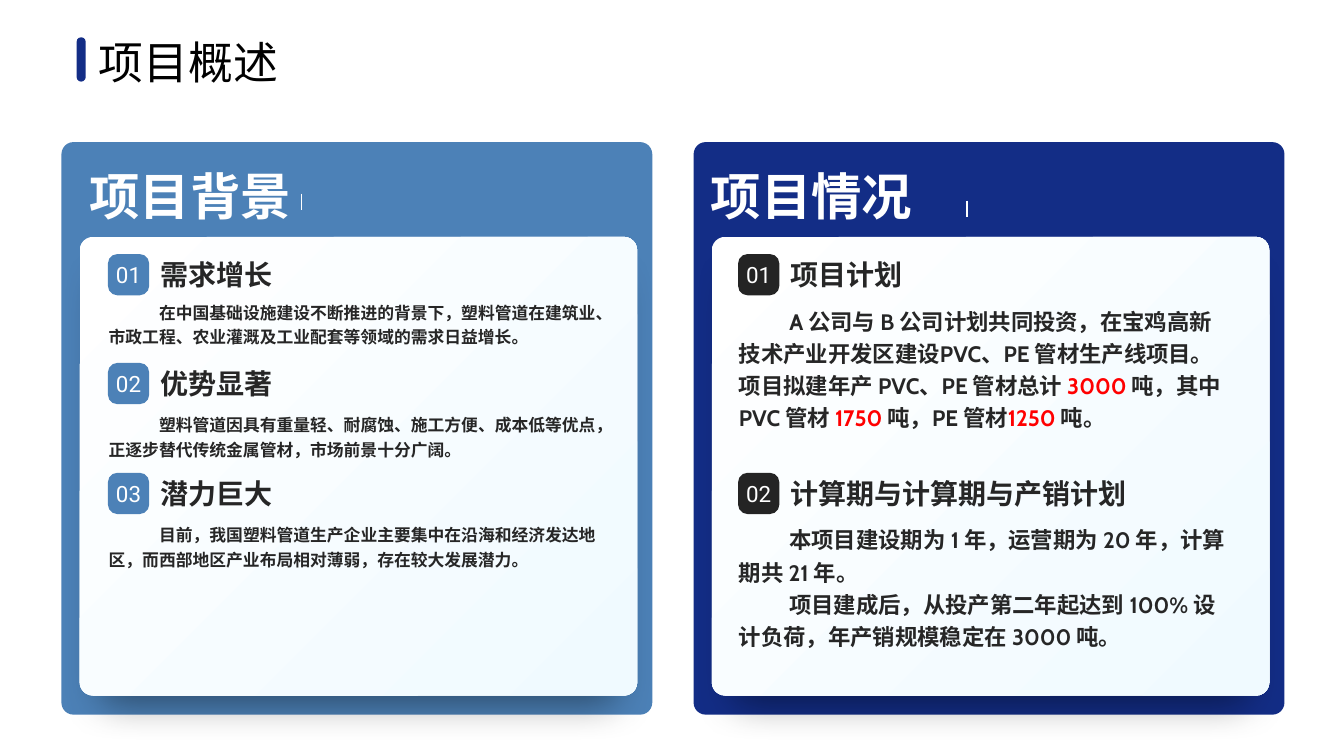
from dataclasses import dataclass

from lxml.etree import SubElement
from pptx import Presentation
from pptx.dml.color import RGBColor
from pptx.enum.shapes import MSO_CONNECTOR as CONN, MSO_SHAPE as SHAPE
from pptx.enum.text import MSO_ANCHOR as ANCHOR, MSO_AUTO_SIZE as AUTO, PP_ALIGN as ALIGN
from pptx.oxml import parse_xml
from pptx.oxml.ns import nsdecls, qn
from pptx.util import Pt

PX = 9144  # 100 px to the inch
COLORS = {
    "navy": "132D86", "blue": "4C81B7", "dark": "242424", "text": "262626",
    "red": "FF0000", "white": "FFFFFF", "ice": "F0FAFF", "black": "000000",
}
PANEL_TOP, PANEL_W, PANEL_H = 141, 586, 568
CARD_TOP, CARD_W, CARD_H = 235, 553, 455
BADGE, FIRST_ROW, ROW_STEP = 41, 252, 108.5
SHADOW = (
    f'<a:effectLst {nsdecls("a")}><a:outerShdw blurRad="355600" dist="406400" dir="5400000" '
    'sx="92000" sy="92000" algn="t" rotWithShape="0"><a:srgbClr val="000000">'
    '<a:alpha val="41000"/></a:srgbClr></a:outerShdw></a:effectLst>'
)


@dataclass
class Item:
    row: int
    heading: str
    body: list[list[str]]  # paragraphs of runs; runs of digits are red
    body_dy: int = 43
    body_h: int = 58


@dataclass
class Panel:
    x: int
    color: str
    badge_color: str
    heading: str
    heading_x: int
    tick: tuple[int, int]
    content_x: int
    body_size: int
    items: list[Item]


PANELS = [
    Panel(61, "blue", "blue", "项目背景", 79, (299, 192), 107, 12, [
        Item(0, "需求增长", [["在中国基础设施建设不断推进的背景下，塑料管道在建筑业、市政工程、"
                          "农业灌溉及工业配套等领域的需求日益增长。"]], 39, 43),
        Item(1, "优势显著", [["塑料管道因具有重量轻、耐腐蚀、施工方便、成本低等优点，"
                          "正逐步替代传统金属管材，市场前景十分广阔。"]]),
        Item(2, "潜力巨大", [["目前，我国塑料管道生产企业主要集中在沿海和经济发达地区，"
                          "而西部地区产业布局相对薄弱，存在较大发展潜力。"]]),
    ]),
    Panel(688, "navy", "dark", "项目情况", 695, (959, 199), 732, 16, [
        Item(0, "项目计划", [["A 公司与 B 公司计划共同投资，在宝鸡高新技术产业开发区建设PVC、PE 管材"
                          "生产线项目。项目拟建年产 PVC、PE 管材总计 ", "3000", " 吨，其中 PVC 管材 ",
                          "1750", " 吨，PE 管材", "1250", " 吨。"]], body_h=171),
        Item(2, "计算期与计算期与产销计划", [
            ["本项目建设期为 1 年，运营期为 20 年，计算期共 21 年。"],
            ["项目建成后，从投产第二年起达到 100% 设计负荷，年产销规模稳定在 3000 吨。"],
        ], body_h=139),
    ]),
]


def rgb(name: str) -> RGBColor:
    return RGBColor.from_string(COLORS[name])


def set_font(p, size: int, name: str, color: str, bold: bool = False) -> None:
    p.font.size, p.font.name, p.font.bold = Pt(size), name, bold
    p.font.color.rgb = rgb(color)


def add_round(s, x: int, y: int, w: int, h: int, adj: float, color: str):
    sp = s.shapes.add_shape(SHAPE.ROUNDED_RECTANGLE, x * PX, y * PX, w * PX, h * PX)
    sp.adjustments[0] = adj
    sp.shadow.inherit = False
    sp.fill.solid()
    sp.fill.fore_color.rgb = rgb(color)
    sp.line.fill.background()
    return sp


def add_text(s, x: int, y: int, w: int, h: int):
    tf = s.shapes.add_textbox(x * PX, y * PX, w * PX, h * PX).text_frame
    tf.word_wrap = True
    return tf


def add_label(s, x: int, y: int, w: int, h: int, text: str, size: int, font: str, color: str) -> None:
    p = add_text(s, x, y, w, h).paragraphs[0]
    p.text = text
    set_font(p, size, font, color, True)


def add_card(s, x: int) -> None:
    sp = add_round(s, x, CARD_TOP, CARD_W, CARD_H, 0.029, "white")
    sp.fill.gradient()
    sp.fill.gradient_angle = 315
    for stop, color in zip(sp.fill.gradient_stops, ("white", "ice")):
        stop.color.rgb = rgb(color)
    spPr = sp._element.spPr
    spPr.replace(spPr.find(qn("a:effectLst")), parse_xml(SHADOW))


def add_tick(s, x: int, y: int) -> None:
    line = s.shapes.add_connector(CONN.STRAIGHT, x * PX, y * PX, x * PX, (y + 16) * PX)
    line.line.color.rgb = rgb("white")
    line.line.width = Pt(1)
    SubElement(line._element.spPr, qn("a:effectLst"))


def add_item(s, panel: Panel, number: int, item: Item) -> None:
    x, y = panel.content_x, FIRST_ROW + round(ROW_STEP * item.row)

    # Numbered badge and heading
    tf = add_round(s, x, y, BADGE, BADGE, 0.231, panel.badge_color).text_frame
    tf.margin_left = tf.margin_right = tf.margin_top = tf.margin_bottom = 0
    tf.word_wrap = False
    tf.vertical_anchor = ANCHOR.MIDDLE
    p = tf.paragraphs[0]
    p.text = f"{number:02}"
    p.alignment = ALIGN.CENTER
    set_font(p, 16, "Roboto", "white")
    add_label(s, x + 42, y - 1, 394, 44, item.heading, 20, "Cabin", "text")

    # Body paragraphs
    tf = add_text(s, x - 9, y + item.body_dy, 504, item.body_h)
    for i, runs in enumerate(item.body):
        p = tf.add_paragraph() if i else tf.paragraphs[0]
        p.line_spacing = 1.2
        pPr = p._p.get_or_add_pPr()
        pPr.set("marL", "0")
        pPr.set("indent", str(50 * PX))
        set_font(p, panel.body_size, "Cabin", "text", True)
        for text in runs:
            r = p.add_run()
            r.text = text
            if text.isdigit():
                r.font.color.rgb = rgb("red")


def add_panel(s, panel: Panel) -> None:
    add_round(s, panel.x, PANEL_TOP, PANEL_W, PANEL_H, 0.021, panel.color)
    add_card(s, panel.x + 18)
    add_label(s, panel.heading_x, 159, 250, 71, panel.heading, 36, "Roboto", "white")
    add_tick(s, *panel.tick)
    for number, item in enumerate(panel.items, 1):
        add_item(s, panel, number, item)


def add_title(s, text: str) -> None:
    title = s.shapes.title
    title.left, title.top, title.width, title.height = (v * PX for v in (88, 29, 240, 64))
    tf = title.text_frame
    tf.text = text
    tf.word_wrap = True
    tf.auto_size = AUTO.NONE
    tf.vertical_anchor = ANCHOR.TOP
    p = tf.paragraphs[0]
    p.alignment = ALIGN.LEFT
    set_font(p, 32, "Cabin", "black")
    add_round(s, 76, 37, 9, 44, 0.5, "navy")


def main() -> None:
    prs = Presentation()
    prs.slide_width, prs.slide_height = 1333 * PX, 750 * PX
    s = prs.slides.add_slide(prs.slide_layouts[5])
    add_title(s, "项目概述")
    for panel in PANELS:
        add_panel(s, panel)
    prs.save("out.pptx")


if __name__ == "__main__":
    main()
